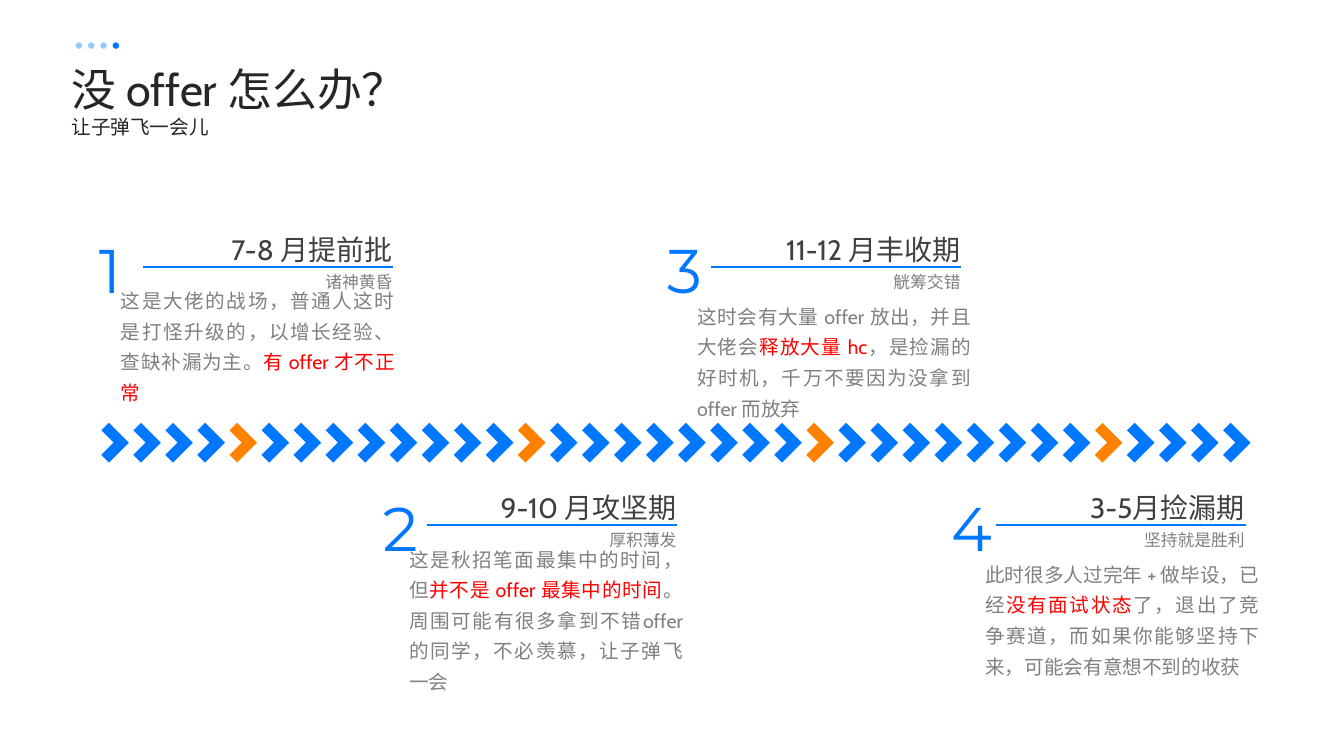
from dataclasses import dataclass

from lxml.etree import SubElement
from pptx import Presentation
from pptx.dml.color import RGBColor
from pptx.enum.lang import MSO_LANGUAGE_ID as Lang
from pptx.enum.shapes import MSO_CONNECTOR, MSO_SHAPE
from pptx.enum.text import MSO_ANCHOR, MSO_AUTO_SIZE, PP_ALIGN
from pptx.oxml.ns import qn
from pptx.util import Cm, Pt

BLUE, ORANGE, RED = "0077FF", "FF8100", "FF0000"
INK, HEADING, GREY = "262626", "404040", "808080"

RULE_LEFT, RULE_STEP, RULE_LENGTH = 3.61, 7.16, 6.3
BODY_LEFT, BODY_STEP = 3.05, 7.26
UPPER, LOWER = 6.73, 13.23
CHEVRONS, FIRST_CHEVRON, LAST_CHEVRON = 36, 2.39, 30.66


@dataclass
class Stage:
    heading: str
    motto: str
    body: list[tuple[str, str]]
    rule_y: float
    number_width: float
    body_height: float = 3.05


STAGES = [
    Stage("7-8 月提前批", "诸神黄昏",
          [("这是大佬的战场，普通人这时是打怪升级的，以增长经验、查缺补漏为主。", GREY),
           ("有 offer 才不正常", RED)],
          UPPER, 1.14, 2.26),
    Stage("9-10 月攻坚期", "厚积薄发",
          [("这是秋招笔面最集中的时间，但", GREY),
           ("并不是 offer 最集中的时间", RED),
           ("。周围可能有很多拿到不错offer的同学，不必羡慕，让子弹飞一会", GREY)],
          LOWER, 1.47),
    Stage("11-12 月丰收期", "觥筹交错",
          [("这时会有大量 offer 放出，并且大佬会", GREY),
           ("释放大量 hc", RED),
           ("，是捡漏的好时机，千万不要因为没拿到 offer 而放弃", GREY)],
          UPPER, 1.47),
    Stage("3-5月捡漏期", "坚持就是胜利",
          [("此时很多人过完年 + 做毕设，已经", GREY),
           ("没有面试状态", RED),
           ("了，退出了竞争赛道，而如果你能够坚持下来，可能会有意想不到的收获", GREY)],
          LOWER, 1.6),
]


def rgb(color: str) -> RGBColor:
    return RGBColor.from_string(color)


def add_text(shapes, box: tuple[float, ...], parts: list[tuple[str, str]], size: float,
             align=PP_ALIGN.LEFT, font: str = "Cabin", wrap: bool = True):
    """Add a one-paragraph text box whose parts are (text, colour) pairs."""
    frame = shapes.add_textbox(*map(Cm, box)).text_frame
    frame.word_wrap = wrap
    frame.auto_size = MSO_AUTO_SIZE.SHAPE_TO_FIT_TEXT
    paragraph = frame.paragraphs[0]
    paragraph.alignment = align
    for text, color in parts:
        run = paragraph.add_run()
        run.text = text
        run.font.size = Pt(size)
        run.font.name = font
        run.font.language_id = Lang.SIMPLIFIED_CHINESE
        run.font.color.rgb = rgb(color)
        SubElement(run.font._element, qn("a:ea")).set("typeface", font)
    return frame


def add_filled(shapes, kind, left: float, top: float, size: float, color: str):
    shape = shapes.add_shape(kind, Cm(left), Cm(top), Cm(size), Cm(size))
    shape.shadow.inherit = False
    shape.fill.solid()
    shape.fill.fore_color.rgb = rgb(color)
    shape.line.fill.background()
    return shape


def add_dots(shapes) -> None:
    for index in range(4):
        dot = add_filled(shapes, MSO_SHAPE.OVAL, 1.91 + 0.31 * index, 1.07, 0.16, BLUE)
        if index < 3:
            color = dot._element.spPr.find(f".//{qn('a:srgbClr')}")
            SubElement(color, qn("a:alpha")).set("val", "40000")


def add_chevrons(shapes) -> None:
    step = (LAST_CHEVRON - FIRST_CHEVRON) / (CHEVRONS - 1)
    for index in range(CHEVRONS):
        color = ORANGE if index % 9 == 4 else BLUE
        chevron = add_filled(shapes, MSO_SHAPE.CORNER,
                             FIRST_CHEVRON + step * index, 10.8, 0.71, color)
        chevron.rotation = 225
        chevron.adjustments[0] = 0.38
        chevron.adjustments[1] = 0.39


def add_rule(shapes, left: float, y: float) -> None:
    rule = shapes.add_connector(MSO_CONNECTOR.STRAIGHT, Cm(left), Cm(y),
                                Cm(left + RULE_LENGTH), Cm(y))
    rule.line.color.rgb = rgb(BLUE)
    rule.line.width = Pt(1.5)
    SubElement(rule._element.spPr, qn("a:effectLst"))


def add_stage(shapes, index: int, stage: Stage) -> None:
    left, y = RULE_LEFT + RULE_STEP * index, stage.rule_y
    add_text(shapes, (left - 1.37, y - 1.02, stage.number_width, 2.13),
             [(str(index + 1), BLUE)], 44, font="Montserrat", wrap=False)
    add_text(shapes, (left + 0.59, y - 0.99, 5.94, 1.12),
             [(stage.heading, HEADING)], 20, PP_ALIGN.RIGHT)
    add_rule(shapes, left, y)
    add_text(shapes, (left, y, 6.53, 0.76), [(stage.motto, GREY)], 12, PP_ALIGN.RIGHT)

    body = add_text(shapes, (BODY_LEFT + BODY_STEP * index, y + 0.79, 6.9, stage.body_height),
                    stage.body, 14, PP_ALIGN.JUSTIFY)
    body.margin_left = body.margin_right = body.margin_top = body.margin_bottom = 0
    body.vertical_anchor = MSO_ANCHOR.MIDDLE
    body.paragraphs[0].line_spacing = 1.3


def main() -> None:
    deck = Presentation()
    deck.slide_width, deck.slide_height = Cm(33.87), Cm(19.05)
    shapes = deck.slides.add_slide(deck.slide_layouts[6]).shapes
    add_dots(shapes)
    add_text(shapes, (1.55, 1.42, 20.12, 1.63), [("没 offer 怎么办？", INK)], 32)
    add_text(shapes, (1.55, 2.77, 7.11, 0.86), [("让子弹飞一会儿", INK)], 14)
    add_chevrons(shapes)
    for index, stage in enumerate(STAGES):
        add_stage(shapes, index, stage)
    deck.save("out.pptx")


if __name__ == "__main__":
    main()
